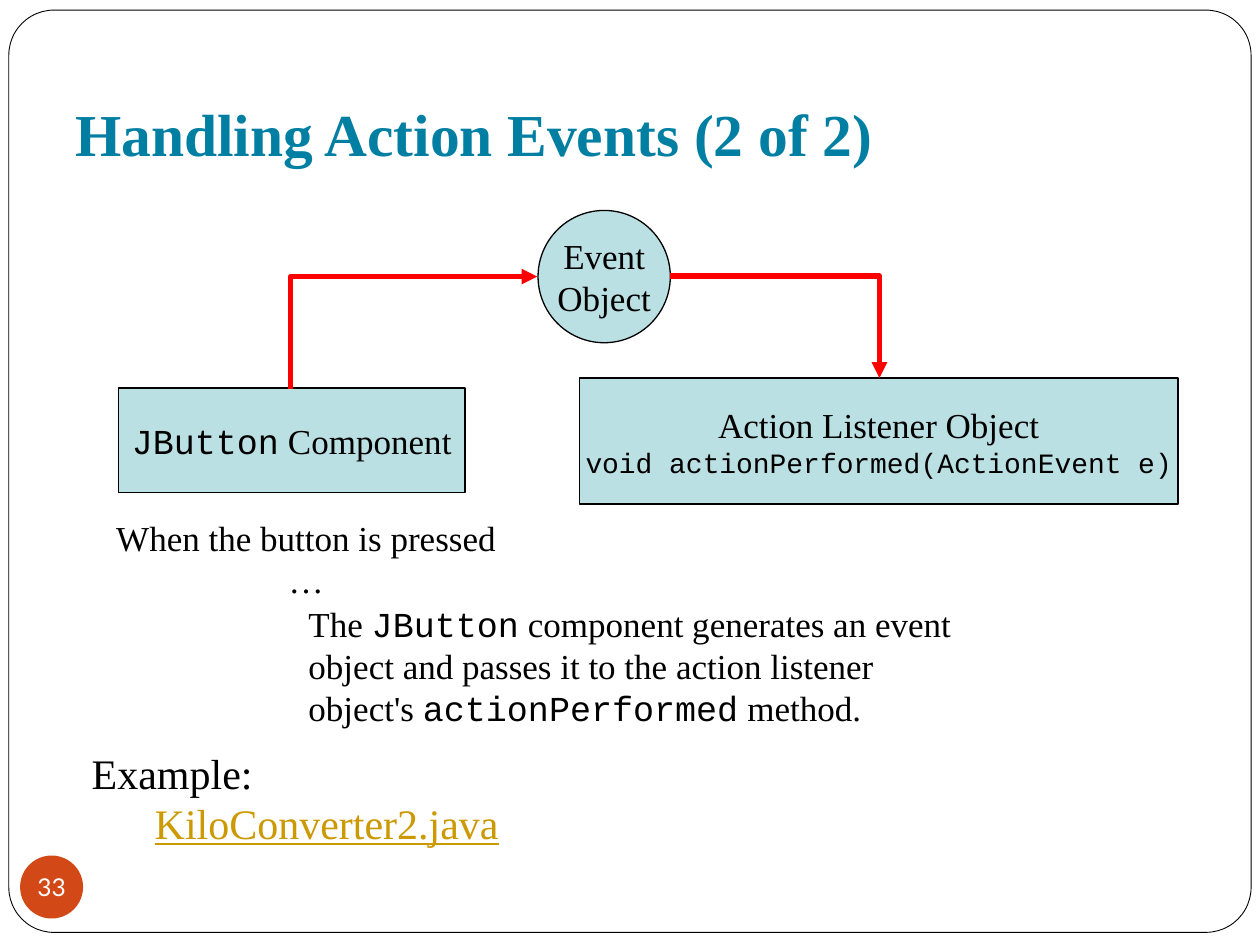
from lxml.etree import SubElement
from pptx import Presentation
from pptx.dml.color import RGBColor
from pptx.enum.shapes import MSO_CONNECTOR, MSO_SHAPE
from pptx.enum.text import MSO_ANCHOR, PP_ALIGN
from pptx.oxml.ns import qn
from pptx.util import Inches, Pt

COLORS = {"white": "FFFFFF", "black": "000000", "title": "007FA3", "box": "BBE0E3",
          "arrow": "FF0000", "link": "CC9900", "badge": "D34817"}
SERIF, MONO, SANS = "Times New Roman", "Courier New", "Lato"

prs = Presentation()
prs.slide_width, prs.slide_height = Inches(10), Inches(7.5)
slide = prs.slides.add_slide(prs.slide_layouts[6])


def write(shape, paragraphs, size=20, color="black", align=PP_ALIGN.LEFT, wrap=True):
    """Fill a shape with paragraphs, each a list of (text, font) runs."""
    frame = shape.text_frame
    frame.word_wrap = wrap
    for i, runs in enumerate(paragraphs):
        paragraph = frame.paragraphs[0] if i == 0 else frame.add_paragraph()
        paragraph.alignment = align
        for text, font in runs:
            run = paragraph.add_run()
            run.text = text
            run.font.name, run.font.size = font, Pt(size)
            run.font.color.rgb = RGBColor.from_string(COLORS[color])
    return frame


def add_block(kind, at, fill, line_width=0.75):
    """Add a filled preset shape with a black outline, or none at width 0."""
    shape = slide.shapes.add_shape(kind, *map(Inches, at))
    shape.shadow.inherit = False
    shape.fill.solid()
    shape.fill.fore_color.rgb = RGBColor.from_string(COLORS[fill])
    if line_width:
        shape.line.color.rgb = RGBColor.from_string(COLORS["black"])
        shape.line.width = Pt(line_width)
    else:
        shape.line.fill.background()
    shape.text_frame.vertical_anchor = MSO_ANCHOR.MIDDLE
    return shape


# Frame and title
border = add_block(MSO_SHAPE.ROUNDED_RECTANGLE, (0.07, 0.08, 9.86, 7.32), "white", 0.5)
border.adjustments[0] = 0.049

title = slide.shapes.add_textbox(Inches(0.5), Inches(0.24), Inches(9), Inches(1.2))
title_frame = write(title, [[("Handling Action Events (2 of 2)", SERIF)]], 34, "title")
title_frame.vertical_anchor = MSO_ANCHOR.BOTTOM
title_frame.margin_bottom = Inches(0.1)
title_frame.paragraphs[0].runs[0].font.bold = True

# Example file
example = slide.shapes.add_textbox(Inches(0.63), Inches(5.88), Inches(9), Inches(0.91))
example_frame = write(example, [[("Example:", SERIF)], [("KiloConverter2.java", SERIF)]], 24)
file_line = example_frame.paragraphs[1]
file_line._p.get_or_add_pPr().set("marL", str(Inches(0.5)))
file_line.runs[0].font.underline = True
file_line.runs[0].font.color.rgb = RGBColor.from_string(COLORS["link"])

# Explanation
explanation = slide.shapes.add_textbox(Inches(2.35), Inches(4.73), Inches(5.33), Inches(1.1))
write(explanation, [[
    ("The ", SERIF), ("JButton", MONO),
    (" component generates an event object and passes it to the action listener object's ", SERIF),
    ("actionPerformed", MONO), (" method.", SERIF)]])

trigger = slide.shapes.add_textbox(Inches(0.65), Inches(4.05), Inches(3.56), Inches(0.43))
trigger_frame = write(trigger, [[("When the button is pressed …", SERIF)]], align=PP_ALIGN.CENTER)
trigger_frame.margin_left = trigger_frame.margin_right = Inches(0.2)

# Diagram blocks
blocks = [
    (MSO_SHAPE.RECTANGLE, (0.94, 3.08, 2.75, 0.83),
     [[("JButton", MONO), (" Component", SERIF)]]),
    (MSO_SHAPE.RECTANGLE, (4.6, 3, 4.75, 1),
     [[("Action Listener Object", SERIF)], [("void actionPerformed(ActionEvent e)", MONO)]]),
    (MSO_SHAPE.OVAL, (4.27, 1.67, 1.05, 1.05),
     [[("Event", SERIF)], [("Object", SERIF)]]),
]
for kind, at, paragraphs in blocks:
    block_frame = write(add_block(kind, at, "box"), paragraphs,
                        align=PP_ALIGN.CENTER, wrap=False)
    for paragraph in block_frame.paragraphs:
        if paragraph.text.startswith("void"):
            paragraph.runs[0].font.size = Pt(16)

# Arrows with one bend: left, top, width, height before turning, then the turn in degrees
for left, top, width, height, turn in [(2.84, 1.66, 0.89, 1.96, 270),
                                       (5.32, 2.19, 1.66, 0.81, 0)]:
    arrow = slide.shapes.add_connector(
        MSO_CONNECTOR.ELBOW, Inches(left), Inches(top),
        Inches(left + width), Inches(top + height))
    arrow.line.color.rgb = RGBColor.from_string(COLORS["arrow"])
    arrow.line.width = Pt(3)
    properties = arrow._element.spPr
    properties.find(qn("a:prstGeom")).set("prst", "bentConnector2")
    properties.find(qn("a:xfrm")).set("rot", str(turn * 60000))
    SubElement(properties.find(qn("a:ln")), qn("a:tailEnd"), type="triangle")
    SubElement(properties, qn("a:effectLst"))

# Page number
badge = add_block(MSO_SHAPE.OVAL, (0.16, 6.79, 0.5, 0.5), "badge", 0)
badge_frame = write(badge, [[("33", SANS)]], 14, "white", PP_ALIGN.CENTER, wrap=False)
badge_frame.margin_left = badge_frame.margin_right = 0
badge_frame.margin_top = badge_frame.margin_bottom = 0

prs.save("out.pptx")
